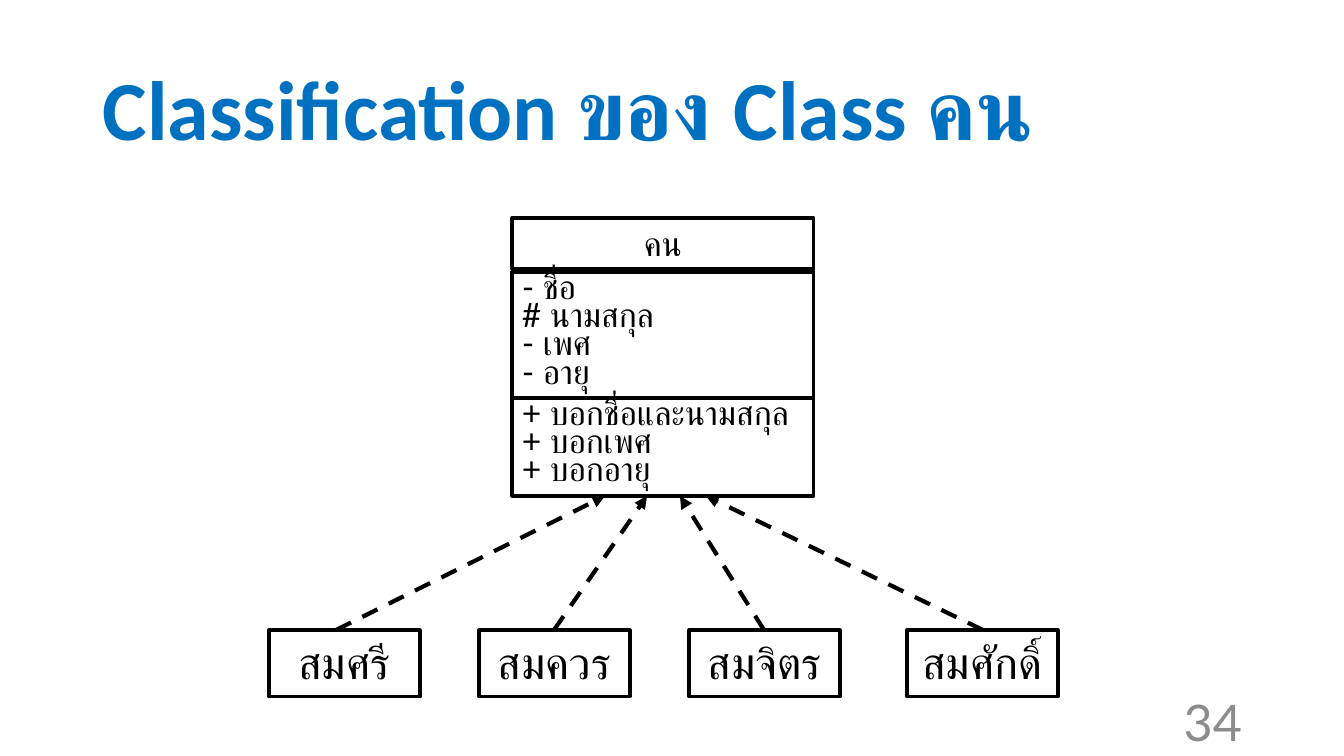
from dataclasses import dataclass

import lxml.etree
import pptx
import pptx.dml.color
import pptx.enum.dml
import pptx.enum.shapes
import pptx.enum.text
import pptx.oxml.ns
import pptx.util

ALIGN = pptx.enum.text.PP_ALIGN
ANCHOR = pptx.enum.text.MSO_ANCHOR
EMU_PER_PIXEL = 914400 / 100.8


@dataclass(frozen=True)
class Theme:
    title_font: str = "Calibri"
    body_font: str = "Lato"
    title_color: str = "0070C0"
    number_color: str = "8C8C8C"
    ink: str = "000000"
    title_size: int = 60
    number_size: int = 36
    object_size: int = 32
    class_size: int = 24
    box_line: float = 2.25
    arrow_line: float = 3


@dataclass(frozen=True)
class TextStyle:
    size: int
    color: str
    font: str
    bold: bool = False
    align: ALIGN = ALIGN.LEFT
    anchor: ANCHOR = ANCHOR.TOP
    spacing: float = 1.0


@dataclass(frozen=True)
class Compartment:
    top: int
    height: int
    lines: tuple[str, ...]
    style: TextStyle


@dataclass(frozen=True)
class Person:
    name: str
    left: int
    arrow_start: int
    arrow_end: int


THEME = Theme()
TITLE = TextStyle(THEME.title_size, THEME.title_color, THEME.title_font,
                  bold=True, anchor=ANCHOR.MIDDLE, spacing=0.9)
NUMBER = TextStyle(THEME.number_size, THEME.number_color, THEME.body_font,
                   align=ALIGN.RIGHT, anchor=ANCHOR.MIDDLE)
OBJECT = TextStyle(THEME.object_size, THEME.ink, THEME.body_font, align=ALIGN.CENTER)
CLASS_NAME = TextStyle(THEME.class_size, THEME.ink, THEME.body_font, align=ALIGN.CENTER)
MEMBER = TextStyle(THEME.class_size, THEME.ink, THEME.body_font, spacing=0.7)

CLASS_LEFT, CLASS_WIDTH, CLASS_BOTTOM = 512, 302, 496
PERSON_TOP, PERSON_WIDTH, PERSON_HEIGHT = 630, 151, 67

COMPARTMENTS = (
    Compartment(218, 51, ("คน",), CLASS_NAME),
    Compartment(272, 126, ("- ชื่อ", "# นามสกุล", "- เพศ", "- อายุ"), MEMBER),
    Compartment(398, 98, ("+ บอกชื่อและนามสกุล", "+ บอกเพศ", "+ บอกอายุ"), MEMBER),
)
PEOPLE = (
    Person("สมศรี", 269, 336, 605),
    Person("สมควร", 479, 554, 647),
    Person("สมจิตร", 689, 764, 680),
    Person("สมศักดิ์", 907, 983, 706),
)


def px(pixels: int) -> pptx.util.Emu:
    return pptx.util.Emu(round(pixels * EMU_PER_PIXEL))


def rgb(color: str) -> pptx.dml.color.RGBColor:
    return pptx.dml.color.RGBColor.from_string(color)


def write(shape, lines: tuple[str, ...], style: TextStyle) -> None:
    frame = shape.text_frame
    frame.word_wrap = True
    frame.vertical_anchor = style.anchor
    for index, line in enumerate(lines):
        para = frame.add_paragraph() if index else frame.paragraphs[0]
        para.alignment = style.align
        para.line_spacing = style.spacing
        span = para.add_run()
        span.text = line
        span.font.name = style.font
        span.font.size = pptx.util.Pt(style.size)
        span.font.bold = style.bold
        span.font.color.rgb = rgb(style.color)


def add_label(page, left: int, top: int, width: int, height: int,
              text: str, style: TextStyle) -> None:
    label = page.shapes.add_textbox(px(left), px(top), px(width), px(height))
    write(label, (text,), style)


def add_box(page, left: int, top: int, width: int, height: int,
            lines: tuple[str, ...], style: TextStyle) -> None:
    box = page.shapes.add_shape(pptx.enum.shapes.MSO_SHAPE.RECTANGLE,
                                px(left), px(top), px(width), px(height))
    box.shadow.inherit = False
    box.fill.background()
    box.line.color.rgb = rgb(THEME.ink)
    box.line.width = pptx.util.Pt(THEME.box_line)
    write(box, lines, style)


def add_arrow(page, start: int, end: int) -> None:
    arrow = page.shapes.add_connector(pptx.enum.shapes.MSO_CONNECTOR.STRAIGHT,
                                      px(start), px(PERSON_TOP), px(end), px(CLASS_BOTTOM))
    arrow.line.color.rgb = rgb(THEME.ink)
    arrow.line.width = pptx.util.Pt(THEME.arrow_line)
    arrow.line.dash_style = pptx.enum.dml.MSO_LINE.DASH
    qn = pptx.oxml.ns.qn
    properties = arrow.element.spPr
    lxml.etree.SubElement(properties.find(qn("a:ln")), qn("a:tailEnd"), type="triangle")
    lxml.etree.SubElement(properties, qn("a:effectLst"))


deck = pptx.Presentation()
deck.slide_width, deck.slide_height = px(1344), px(756)
page = deck.slides.add_slide(deck.slide_layouts[6])

# Title and page number
add_label(page, 93, 40, 1159, 146, "Classification ของ Class คน", TITLE)
add_label(page, 950, 701, 302, 40, "34", NUMBER)

# People and their arrows to the class
for person in PEOPLE:
    add_box(page, person.left, PERSON_TOP, PERSON_WIDTH, PERSON_HEIGHT,
            (person.name,), OBJECT)
    add_arrow(page, person.arrow_start, person.arrow_end)

# Class diagram
for part in COMPARTMENTS:
    add_box(page, CLASS_LEFT, part.top, CLASS_WIDTH, part.height, part.lines, part.style)

deck.save("out.pptx")
